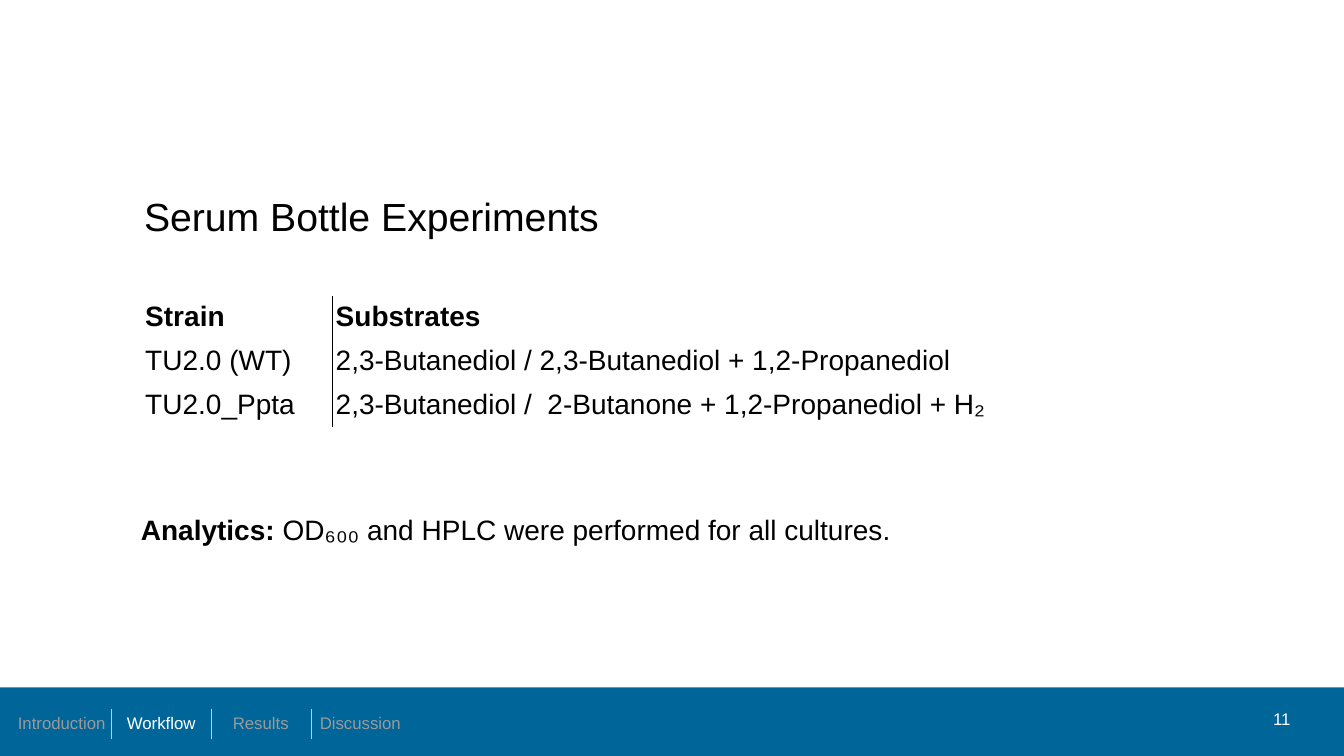
"""Build the slide on serum bottle experiments."""
from dataclasses import dataclass

from lxml import etree
from pptx import Presentation
from pptx import util as u
from pptx.dml.color import RGBColor
from pptx.enum import shapes, text
from pptx.oxml.ns import qn


@dataclass(frozen=True)
class Theme:
    """Hold the colours, type sizes and font."""
    ink: str = "000000"
    band: str = "006699"
    light: str = "FFFFFF"
    dim: str = "999999"
    rule: str = "CCCCCC"
    head: int = 28
    body: int = 20
    small: int = 12
    font: str = "Arial"


@dataclass(frozen=True)
class Box:
    """Hold a place and size in centimetres."""
    left: float
    top: float
    width: float
    height: float

    def sides(self):
        """Return the four lengths for a new shape."""
        return [u.Cm(n) for n in (self.left, self.top, self.width, self.height)]


THEME = Theme()
WIDE, HIGH = 33.87, 19.05


def add_run(para, words, size, tint, bold=False):
    """Add one styled run to a paragraph."""
    run = para.add_run()
    run.text = words
    run.font.name = THEME.font
    run.font.size = u.Pt(size)
    run.font.bold = bold
    run.font.color.rgb = RGBColor.from_string(tint)


def clear_pads(frame):
    """Centre a text frame upright and drop its insets."""
    frame.margin_left = frame.margin_right = 0
    frame.margin_top = frame.margin_bottom = 0
    frame.vertical_anchor = text.MSO_ANCHOR.MIDDLE
    frame.word_wrap = True


def add_edge(cell, tag, tint):
    """Draw a hairline on one cell side, or none without a tint."""
    props = cell._tc.get_or_add_tcPr()
    line = etree.SubElement(props, qn(tag), w="762")
    if tint:
        fill = etree.SubElement(line, qn("a:solidFill"))
        etree.SubElement(fill, qn("a:srgbClr"), val=tint)
    else:
        etree.SubElement(line, qn("a:noFill"))


def add_grid(slide, box, widths, rows, rule, style, align):
    """Place a plain table with hairlines between its columns."""
    table = slide.shapes.add_table(len(rows), len(widths), *box.sides()).table
    table.first_row = table.horz_banding = False
    for col, width in zip(table.columns, widths):
        col.width = u.Cm(width)
    for r, row in enumerate(rows):
        table.rows[r].height = u.Cm(box.height / len(rows))
        for c, words in enumerate(row):
            cell = table.cell(r, c)
            cell.margin_left = cell.margin_right = u.Cm(0.1)
            cell.margin_top = cell.margin_bottom = u.Cm(0.13)
            add_edge(cell, "a:lnL", rule if c > 0 else None)
            add_edge(cell, "a:lnR", rule if c < len(row) - 1 else None)
            add_edge(cell, "a:lnT", None)
            add_edge(cell, "a:lnB", None)
            cell.fill.background()
            para = cell.text_frame.paragraphs[0]
            para.alignment = align
            add_run(para, words, *style(r, c))


def add_title(slide, box):
    """Move and fill the title."""
    title = slide.shapes.title
    title.left, title.top, title.width, title.height = box.sides()
    clear_pads(title.text_frame)
    para = title.text_frame.paragraphs[0]
    para.alignment = text.PP_ALIGN.LEFT
    add_run(para, "Serum Bottle Experiments", THEME.head, THEME.ink)


def add_strains(slide, box):
    """Place the table of strains and substrates."""
    rows = [
        ("Strain", "Substrates"),
        ("TU2.0 (WT)", "2,3-Butanediol / 2,3-Butanediol + 1,2-Propanediol"),
        ("TU2.0_Ppta", "2,3-Butanediol /  2-Butanone + 1,2-Propanediol + H₂"),
    ]
    first = 4.8
    add_grid(slide, box, (first, box.width - first), rows, THEME.ink,
             lambda r, c: (THEME.body, THEME.ink, r == 0), text.PP_ALIGN.LEFT)


def add_note(slide, box):
    """Place the line on analytics."""
    frame = slide.shapes.add_textbox(*box.sides()).text_frame
    frame.word_wrap = True
    para = frame.paragraphs[0]
    add_run(para, "Analytics:", THEME.body, THEME.ink, True)
    add_run(para, " OD₆₀₀ and HPLC were performed for all cultures.",
            THEME.body, THEME.ink)


def add_footer(slide, box):
    """Place the band with its section bar and page number."""
    band = slide.shapes.add_shape(shapes.MSO_SHAPE.RECTANGLE, *box.sides())
    band.shadow.inherit = False
    band.fill.solid()
    band.fill.fore_color.rgb = RGBColor.from_string(THEME.band)
    band.line.fill.background()

    parts = ("Introduction", "Workflow", "Results", "Discussion")
    now = parts.index("Workflow")
    step = 2.51
    bar = Box(box.left + 0.3, box.top + 0.54, step * len(parts), 0.69)
    add_grid(slide, bar, [step] * len(parts), [parts], THEME.rule,
             lambda r, c: (THEME.small, THEME.light if c == now else THEME.dim),
             text.PP_ALIGN.CENTER)

    page = Box(box.left + box.width - 3.64, box.top + 0.41, 2.29, 0.79)
    frame = slide.shapes.add_textbox(*page.sides()).text_frame
    clear_pads(frame)
    para = frame.paragraphs[0]
    para.alignment = text.PP_ALIGN.RIGHT
    add_run(para, "11", THEME.small, THEME.light)


def main():
    """Build and save the deck."""
    deck = Presentation()
    deck.slide_width, deck.slide_height = u.Cm(WIDE), u.Cm(HIGH)
    slide = deck.slides.add_slide(deck.slide_layouts.get_by_name("Title Only"))
    add_title(slide, Box(3.63, 4.29, 28.88, 2.29))
    add_strains(slide, Box(3.56, 7.47, 22.3, 3.3))
    add_note(slide, Box(3.3, 12.78, 29.34, 1.1))
    add_footer(slide, Box(0, 17.32, WIDE, HIGH - 17.32))
    deck.save("out.pptx")


if __name__ == "__main__":
    main()
